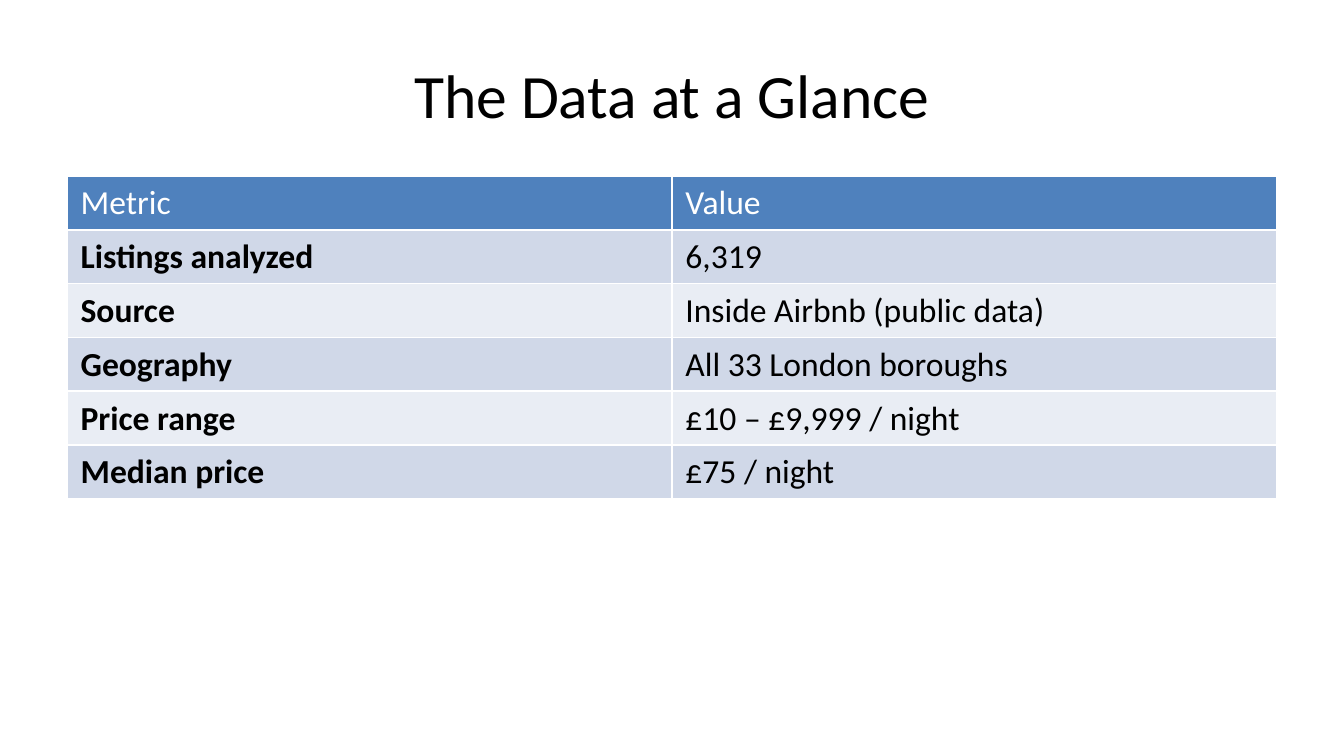
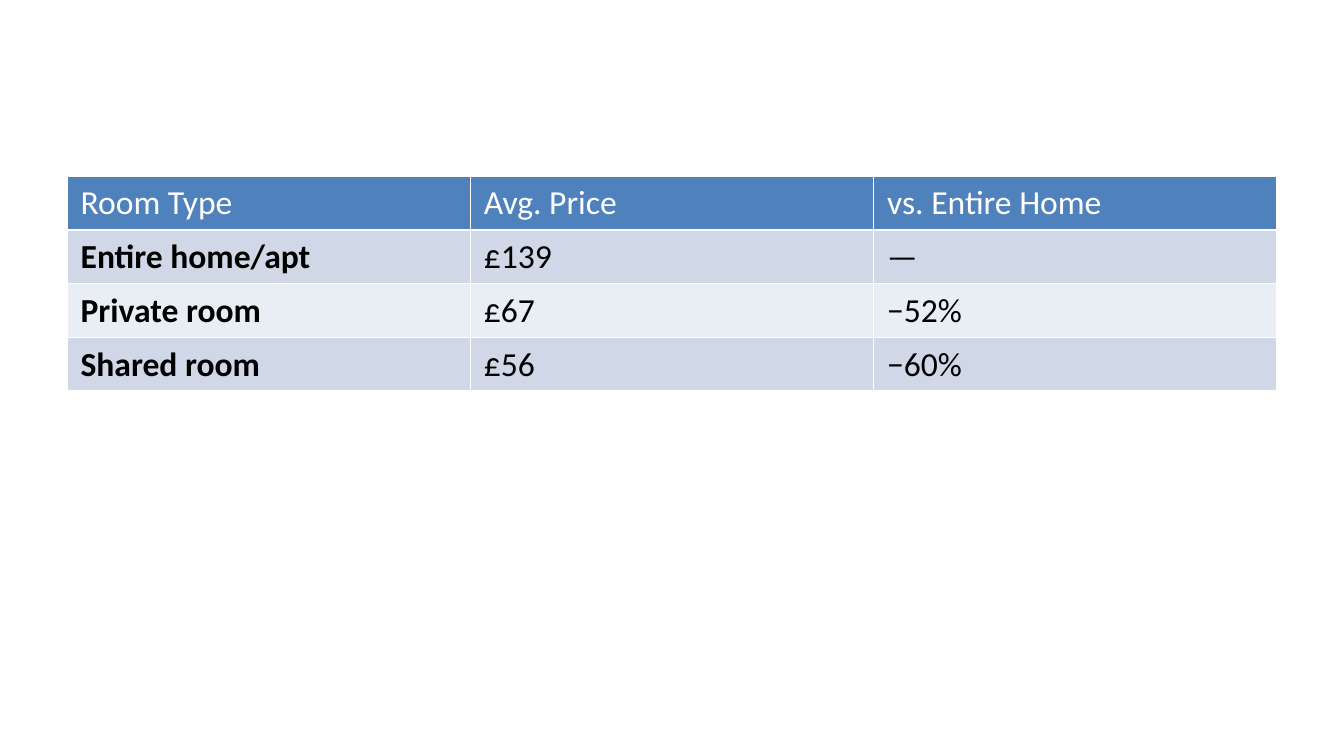
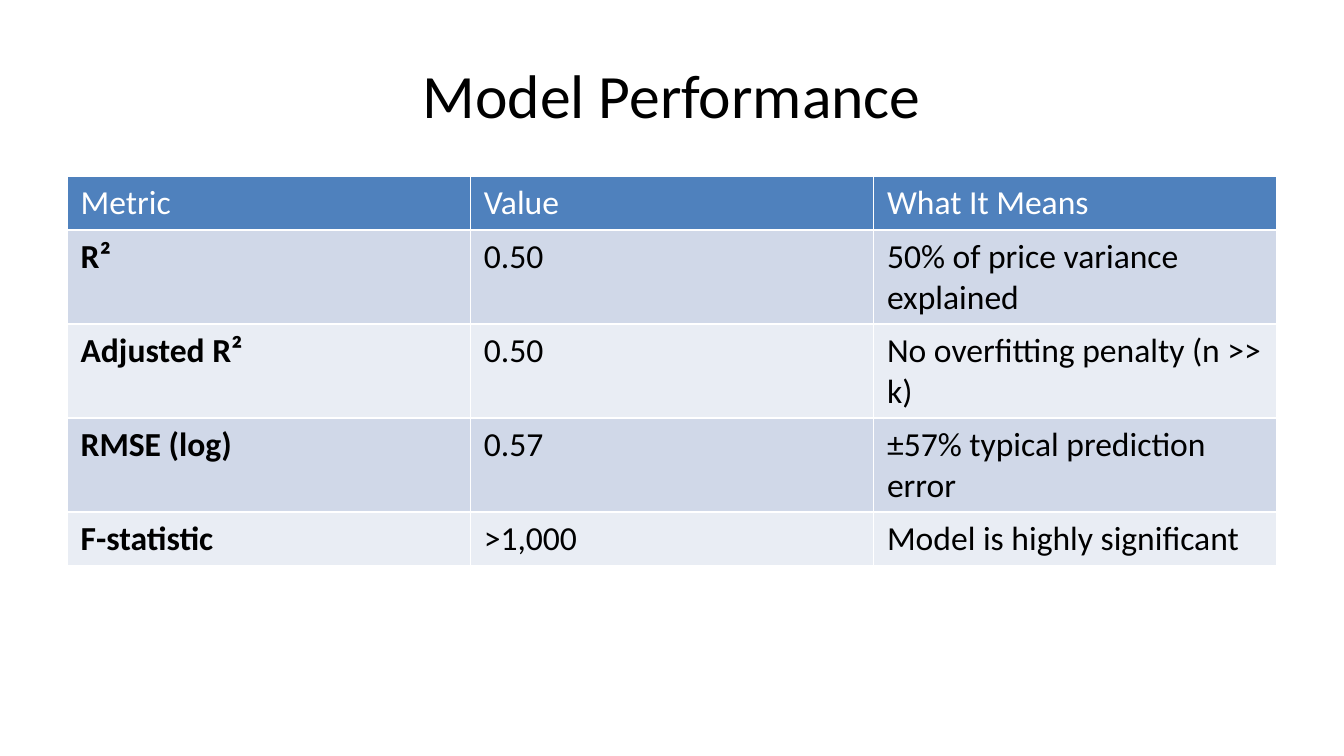
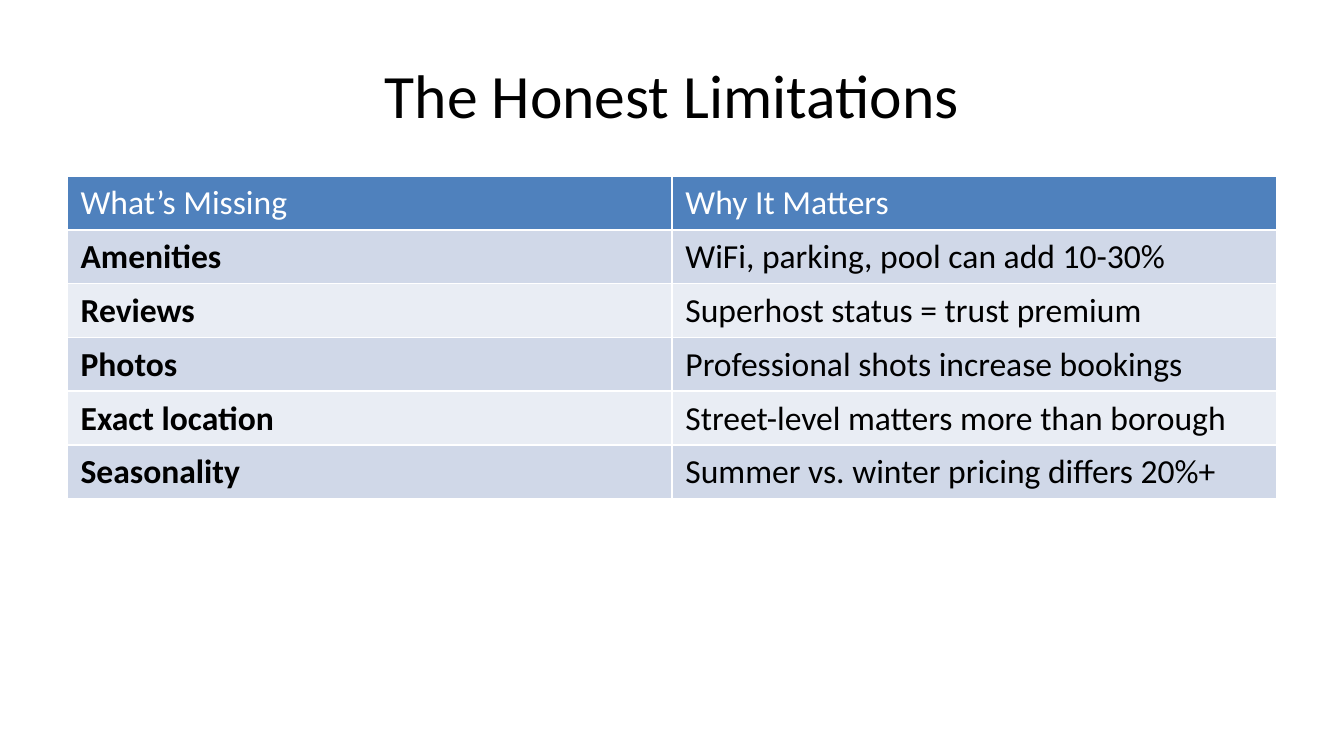
from pptx import Presentation
from pptx import util as u
from pptx.dml import color
from pptx.enum import text as t

SLIDES = [
    {
        "title": "The Data at a Glance",
        "rows": [
            ("Metric", "Value"),
            ("Listings analyzed", "6,319"),
            ("Source", "Inside Airbnb (public data)"),
            ("Geography", "All 33 London boroughs"),
            ("Price range", "£10 – £9,999 / night"),
            ("Median price", "£75 / night"),
        ],
    },
    {
        "title": None,
        "rows": [
            ("Room Type", "Avg. Price", "vs. Entire Home"),
            ("Entire home/apt", "£139", "—"),
            ("Private room", "£67", "−52%"),
            ("Shared room", "£56", "−60%"),
        ],
    },
    {
        "title": "Model Performance",
        "rows": [
            ("Metric", "Value", "What It Means"),
            ("R²", "0.50", "50% of price variance explained"),
            ("Adjusted R²", "0.50", "No overfitting penalty (n >> k)"),
            ("RMSE (log)", "0.57", "±57% typical prediction error"),
            ("F-statistic", ">1,000", "Model is highly significant"),
        ],
    },
    {
        "title": "The Honest Limitations",
        "rows": [
            ("What’s Missing", "Why It Matters"),
            ("Amenities", "WiFi, parking, pool can add 10-30%"),
            ("Reviews", "Superhost status = trust premium"),
            ("Photos", "Professional shots increase bookings"),
            ("Exact location", "Street-level matters more than borough"),
            ("Seasonality", "Summer vs. winter pricing differs 20%+"),
        ],
    },
]

COLORS = {
    "white": "FFFFFF",
    "black": "000000",
    "header": "4F81BD",
    "odd_row": "D0D8E8",
    "even_row": "E9EDF4",
}
FONT = "Calibri"
SLIDE_WIDTH = 10
SLIDE_HEIGHT = SLIDE_WIDTH * 9 / 16
LEFT, WIDTH = 0.5, 9
TITLE_TOP, TITLE_HEIGHT = 0.23, 0.94
TABLE_TOP, TABLE_HEIGHT, ROW_HEIGHT = 1.31, 3.71, 0.4


def rgb(name):
    return color.RGBColor.from_string(COLORS[name])


def write_text(frame, text, size=18, ink="black", bold=False, align=t.PP_ALIGN.LEFT):
    frame.word_wrap = True
    paragraph = frame.paragraphs[0]
    paragraph.alignment = align
    run = paragraph.add_run()
    run.text = text
    run.font.name = FONT
    run.font.size = u.Pt(size)
    run.font.bold = bold
    run.font.color.rgb = rgb(ink)


def add_title(slide, title):
    box = slide.shapes.add_textbox(
        u.Inches(LEFT), u.Inches(TITLE_TOP), u.Inches(WIDTH), u.Inches(TITLE_HEIGHT))
    box.text_frame.vertical_anchor = t.MSO_ANCHOR.MIDDLE
    write_text(box.text_frame, title, size=33, align=t.PP_ALIGN.CENTER)


def add_data_table(slide, rows):
    column_count = len(rows[0])
    frame = slide.shapes.add_table(
        len(rows), column_count, u.Inches(LEFT), u.Inches(TABLE_TOP),
        u.Inches(WIDTH), u.Inches(TABLE_HEIGHT))
    table = frame.table
    for column in table.columns:
        column.width = u.Inches(WIDTH / column_count)
    for row_index, values in enumerate(rows):
        table.rows[row_index].height = u.Inches(ROW_HEIGHT)
        is_header = row_index == 0
        band = "header" if is_header else "odd_row" if row_index % 2 else "even_row"
        for column_index, value in enumerate(values):
            cell = table.cell(row_index, column_index)
            cell.fill.solid()
            cell.fill.fore_color.rgb = rgb(band)
            write_text(cell.text_frame, value, ink="white" if is_header else "black",
                       bold=not is_header and column_index == 0)
    frame.height = u.Inches(TABLE_HEIGHT)


def main():
    presentation = Presentation()
    presentation.slide_width = u.Inches(SLIDE_WIDTH)
    presentation.slide_height = u.Inches(SLIDE_HEIGHT)
    for content in SLIDES:
        slide = presentation.slides.add_slide(presentation.slide_layouts[6])
        if content["title"]:
            add_title(slide, content["title"])
        add_data_table(slide, content["rows"])
    presentation.save("out.pptx")


if __name__ == "__main__":
    main()
